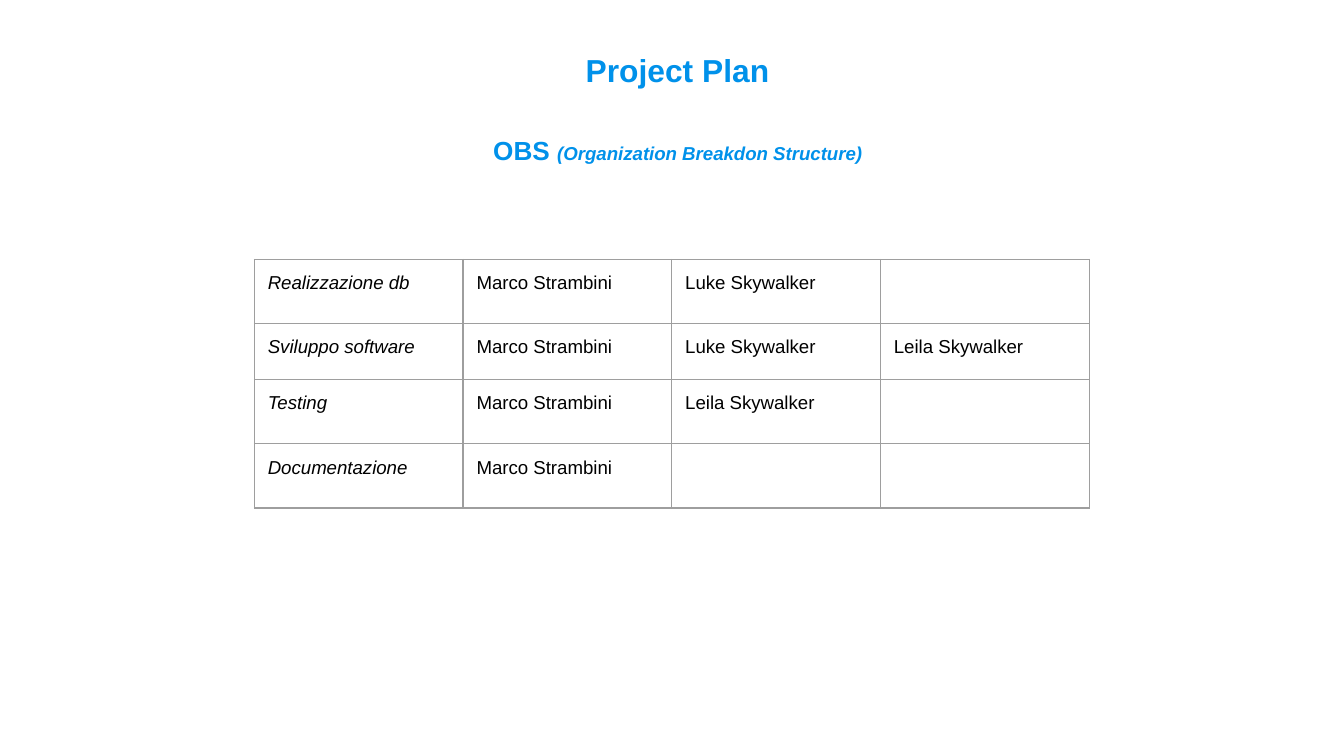
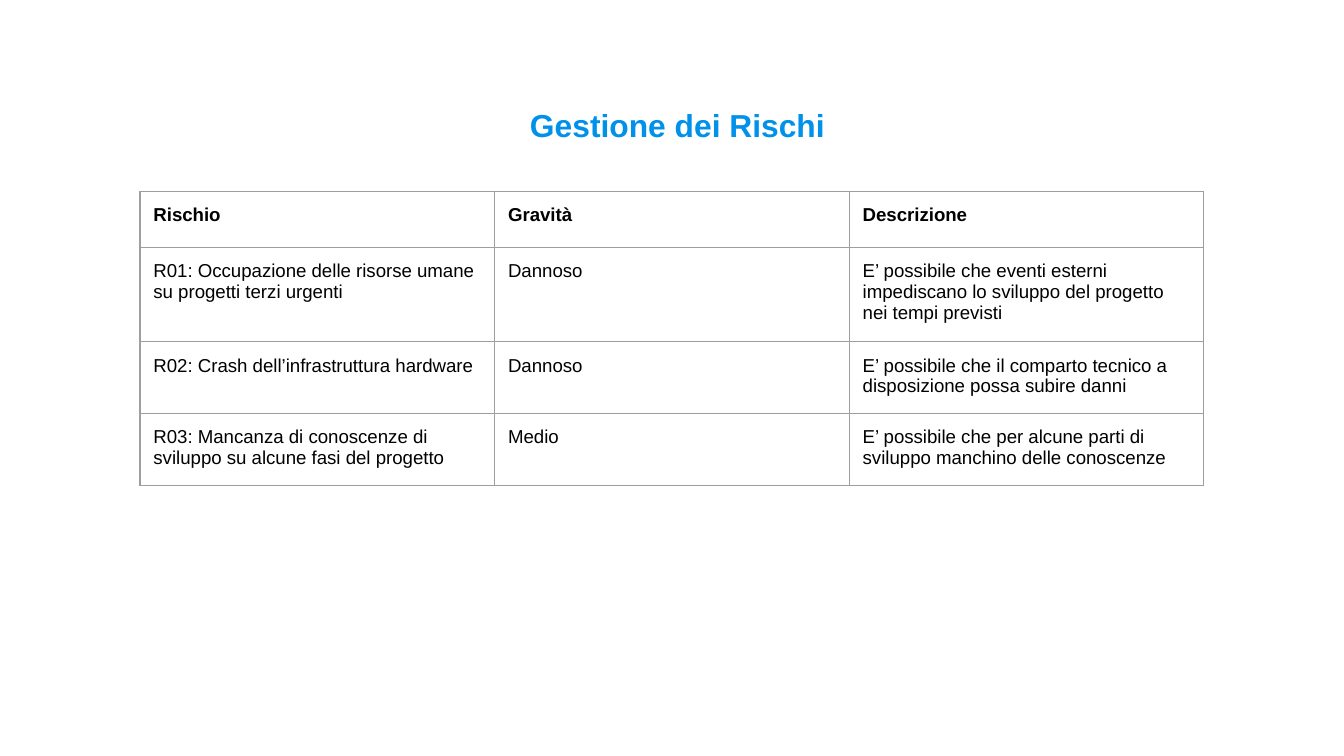
from dataclasses import dataclass

from lxml.etree import SubElement
from pptx import Presentation
from pptx.dml.color import RGBColor
from pptx.enum.text import MSO_ANCHOR, PP_ALIGN
from pptx.oxml.ns import qn
from pptx.slide import Slide
from pptx.table import _Cell
from pptx.util import Pt


@dataclass(frozen=True)
class Theme:
    font: str = "Arial"
    accent: RGBColor = RGBColor(0x00, 0x91, 0xEA)
    ink: RGBColor = RGBColor(0x00, 0x00, 0x00)
    border: str = "9E9E9E"
    border_width: float = 0.75
    title_size: float = 17
    subtitle_size: float = 14
    body_size: float = 10
    inset: float = 7.2


@dataclass(frozen=True)
class Span:
    text: str
    size: float
    italic: bool = False


@dataclass(frozen=True)
class Heading:
    top: float
    height: float
    lines: list[list[Span]]


@dataclass(frozen=True)
class Grid:
    left: float
    top: float
    column_width: float
    row_heights: list[float]
    rows: list[list[str]]
    bold_header: bool = False
    italic_labels: bool = False


THEME = Theme()
HEADING_LEFT, HEADING_WIDTH = 65, 596

ORGANIZATION_HEADING = Heading(17, 78, [
    [Span("Project Plan", THEME.title_size)],
    [Span("OBS ", THEME.subtitle_size),
     Span("(Organization Breakdon Structure)", THEME.body_size, italic=True)],
])
ORGANIZATION = Grid(
    136.3, 139, 111.8, [34.4, 30, 34.4, 34.4],
    [
        ["Realizzazione db", "Marco Strambini", "Luke Skywalker", ""],
        ["Sviluppo software", "Marco Strambini", "Luke Skywalker", "Leila Skywalker"],
        ["Testing", "Marco Strambini", "Leila Skywalker", ""],
        ["Documentazione", "Marco Strambini", "", ""],
    ],
    italic_labels=True,
)

RISKS_HEADING = Heading(46.5, 37, [[Span("Gestione dei Rischi", THEME.title_size)]])
RISKS = Grid(
    75, 102.6, 190, [30, 48.2, 36.6, 36.6],
    [
        ["Rischio", "Gravità", "Descrizione"],
        ["R01: Occupazione delle risorse umane su progetti terzi urgenti", "Dannoso",
         "E’ possibile che eventi esterni impediscano lo sviluppo del progetto nei tempi previsti"],
        ["R02: Crash dell’infrastruttura hardware", "Dannoso",
         "E’ possibile che il comparto tecnico a disposizione possa subire danni"],
        ["R03: Mancanza di conoscenze di sviluppo su alcune fasi del progetto", "Medio",
         "E’ possibile che per alcune parti di sviluppo manchino delle conoscenze"],
    ],
    bold_header=True,
)


def draw_heading(slide: Slide, heading: Heading) -> None:
    box = slide.shapes.add_textbox(
        Pt(HEADING_LEFT), Pt(heading.top), Pt(HEADING_WIDTH), Pt(heading.height))
    frame = box.text_frame
    frame.word_wrap = True
    frame.vertical_anchor = MSO_ANCHOR.TOP
    frame.margin_left = frame.margin_right = Pt(THEME.inset)
    frame.margin_top = frame.margin_bottom = Pt(THEME.inset)
    for index, spans in enumerate(heading.lines):
        paragraph = frame.add_paragraph() if index else frame.paragraphs[0]
        paragraph.alignment = PP_ALIGN.CENTER
        paragraph.line_spacing = 1.15
        paragraph.space_before = Pt(18 if index else 0)
        paragraph.space_after = Pt(4)
        paragraph.font.name = THEME.font
        paragraph.font.bold = True
        paragraph.font.color.rgb = THEME.accent
        for span in spans:
            run = paragraph.add_run()
            run.text = span.text
            run.font.size = Pt(span.size)
            run.font.italic = span.italic


def outline_cell(cell: _Cell) -> None:
    properties = cell._tc.get_or_add_tcPr()
    for side in ("a:lnL", "a:lnR", "a:lnT", "a:lnB"):
        line = SubElement(properties, qn(side), w=str(Pt(THEME.border_width)))
        fill = SubElement(line, qn("a:solidFill"))
        SubElement(fill, qn("a:srgbClr"), val=THEME.border)


def fill_cell(cell: _Cell, text: str, bold: bool, italic: bool) -> None:
    outline_cell(cell)
    cell.fill.background()
    if not text:
        return
    cell.margin_left = cell.margin_right = Pt(THEME.inset)
    cell.margin_top = cell.margin_bottom = Pt(THEME.inset)
    cell.text = text
    font = cell.text_frame.paragraphs[0].font
    font.name = THEME.font
    font.size = Pt(THEME.body_size)
    font.color.rgb = THEME.ink
    font.bold = bold
    font.italic = italic


def draw_grid(slide: Slide, grid: Grid) -> None:
    column_count = len(grid.rows[0])
    table = slide.shapes.add_table(
        len(grid.rows), column_count, Pt(grid.left), Pt(grid.top),
        Pt(grid.column_width * column_count), Pt(sum(grid.row_heights))).table
    table.first_row = grid.bold_header
    table.horz_banding = False
    for column in table.columns:
        column.width = Pt(grid.column_width)
    for r, (height, texts) in enumerate(zip(grid.row_heights, grid.rows)):
        table.rows[r].height = Pt(height)
        for c, text in enumerate(texts):
            fill_cell(table.cell(r, c), text,
                      bold=grid.bold_header and r == 0,
                      italic=grid.italic_labels and c == 0)


def main() -> None:
    deck = Presentation()
    deck.slide_width, deck.slide_height = Pt(720), Pt(405)
    for heading, grid in ((ORGANIZATION_HEADING, ORGANIZATION), (RISKS_HEADING, RISKS)):
        slide = deck.slides.add_slide(deck.slide_layouts[6])
        draw_heading(slide, heading)
        draw_grid(slide, grid)
    deck.save("out.pptx")


if __name__ == "__main__":
    main()
